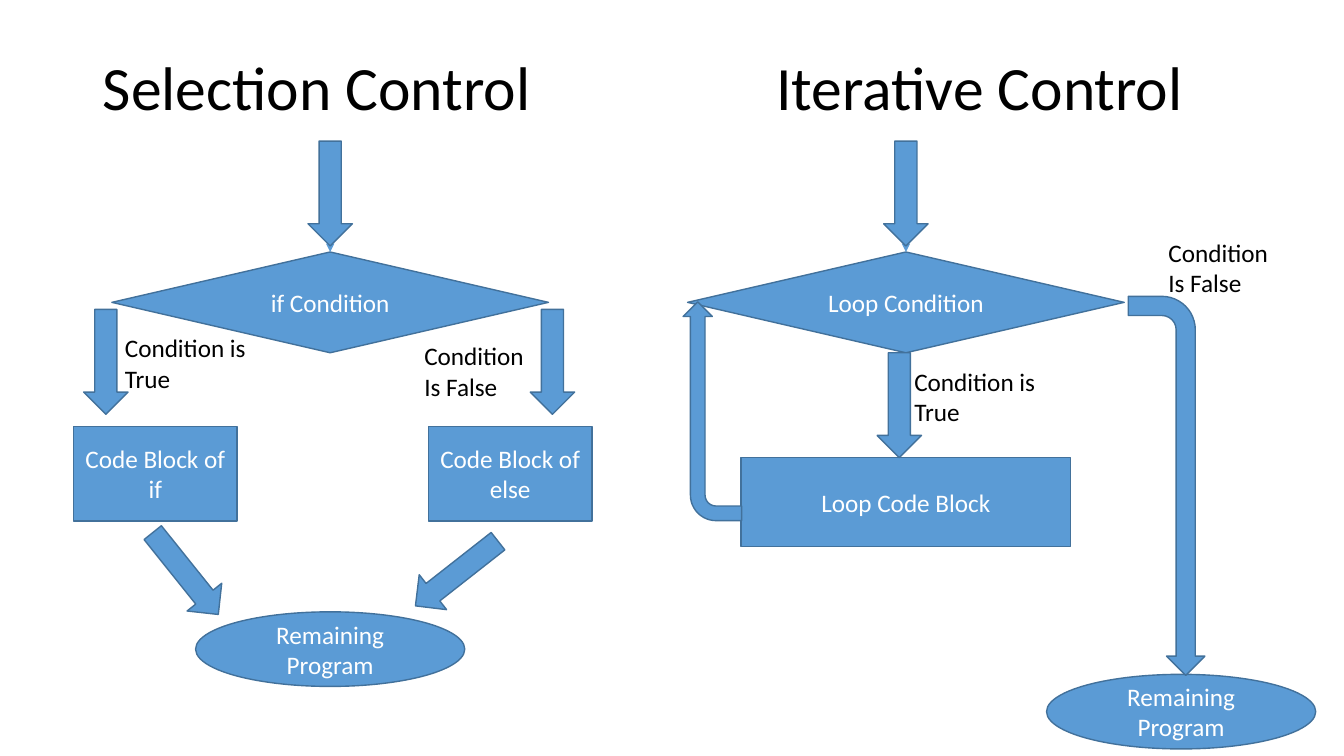
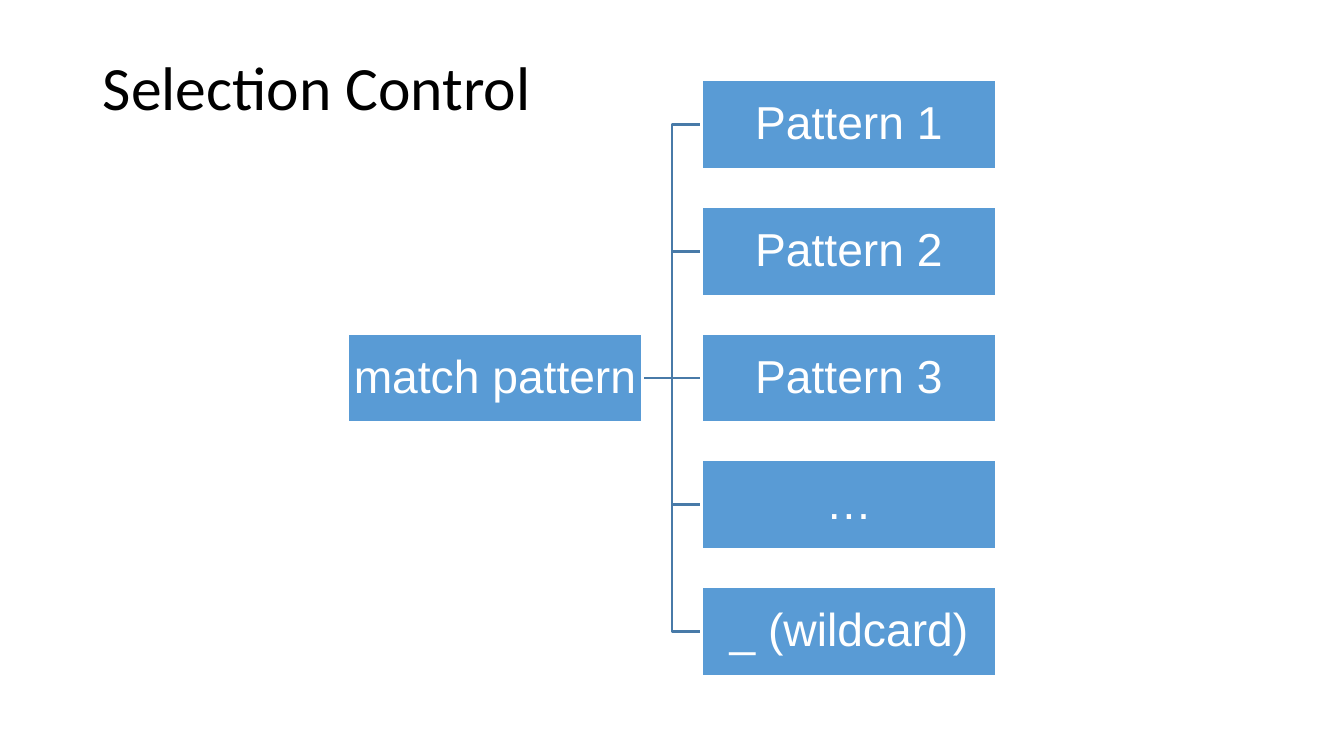
from lxml import etree
from pptx import Presentation
from pptx.dml.color import RGBColor
from pptx.enum.shapes import MSO_CONNECTOR as CONNECTOR, MSO_SHAPE as SHAPE
from pptx.enum.text import MSO_ANCHOR as ANCHOR, MSO_AUTO_SIZE as AUTO_SIZE, PP_ALIGN as ALIGN
from pptx.oxml.ns import qn
from pptx.util import Inches, Pt

BLUE = "5B9BD5"
OUTLINE = "42719B"
TREE_BLUE = "599BD5"
TREE_LINE = "487AA8"
WHITE = "FFFFFF"
BLACK = "000000"

DIAMOND_SIZE = (4.33, 1)
BLOCK_SIZE = (1.62, 0.94)
END_SIZE = (2.67, 0.74)
ARROW_SIZE = (0.44, 1.04)
TREE_SIZE = (2.92, 0.89)


def color(hex_string):
    return RGBColor.from_string(hex_string)


def style_paragraph(paragraph, size, hex_string, name="Calibri", align=ALIGN.LEFT, spacing=None):
    paragraph.alignment = align
    if spacing:
        paragraph.line_spacing = spacing
    font = paragraph.font
    font.size = Pt(size)
    font.name = name
    font.color.rgb = color(hex_string)


def add_tab_stop(paragraph, position):
    properties = paragraph._p.get_or_add_pPr()
    tabs = etree.SubElement(properties, qn("a:tabLst"))
    etree.SubElement(tabs, qn("a:tab"), pos=str(Inches(position)), algn="l")


def add_titled_slide(presentation, text, tab_stop=None):
    slide = presentation.slides.add_slide(presentation.slide_layouts[5])
    title = slide.shapes.title
    title.left, title.top = Inches(0.92), Inches(0.4)
    title.width, title.height = Inches(11.5), Inches(0.99)
    frame = title.text_frame
    frame.text = text
    frame.word_wrap = True
    frame.auto_size = AUTO_SIZE.NONE
    frame.vertical_anchor = ANCHOR.MIDDLE
    paragraph = frame.paragraphs[0]
    if tab_stop:
        add_tab_stop(paragraph, tab_stop)
    style_paragraph(paragraph, 44, BLACK, spacing=0.9)
    return slide


def add_shape(slide, kind, left, top, size, fill=BLUE, line=OUTLINE, line_width=1, rotation=0):
    width, height = size
    shape = slide.shapes.add_shape(kind, Inches(left), Inches(top), Inches(width), Inches(height))
    shape.shadow.inherit = False
    shape.fill.solid()
    shape.fill.fore_color.rgb = color(fill)
    shape.line.color.rgb = color(line)
    shape.line.width = Pt(line_width)
    shape.rotation = rotation
    return shape


def add_node(slide, kind, left, top, size, text):
    shape = add_shape(slide, kind, left, top, size)
    frame = shape.text_frame
    frame.text = text
    frame.word_wrap = True
    frame.vertical_anchor = ANCHOR.MIDDLE
    style_paragraph(frame.paragraphs[0], 18, WHITE, align=ALIGN.CENTER)
    return shape


def add_tree_box(slide, left, top, text):
    shape = add_shape(slide, SHAPE.RECTANGLE, left, top, TREE_SIZE, TREE_BLUE, WHITE, 2)
    frame = shape.text_frame
    frame.text = text
    frame.word_wrap = True
    frame.vertical_anchor = ANCHOR.MIDDLE
    frame.margin_left = frame.margin_right = Inches(0.02)
    frame.margin_top = frame.margin_bottom = Inches(0.02)
    style_paragraph(frame.paragraphs[0], 33, WHITE, "Arial", ALIGN.CENTER, 0.9)
    return shape


def add_label(slide, left, top, width, text):
    box = slide.shapes.add_textbox(Inches(left), Inches(top), Inches(width), Inches(0.71))
    frame = box.text_frame
    frame.text = text
    frame.word_wrap = True
    frame.auto_size = AUTO_SIZE.SHAPE_TO_FIT_TEXT
    for paragraph in frame.paragraphs:
        style_paragraph(paragraph, 18, BLACK)


def add_line(slide, kind, start, end, hex_string, width):
    points = [Inches(value) for value in (*start, *end)]
    connector = slide.shapes.add_connector(kind, *points)
    connector.line.color.rgb = color(hex_string)
    connector.line.width = Pt(width)
    etree.SubElement(connector.element.spPr, qn("a:effectLst"))
    return connector


def add_condition(slide, left, text):
    diamond = add_node(slide, SHAPE.DIAMOND, left, 2.5, DIAMOND_SIZE, text)
    center = left + DIAMOND_SIZE[0] / 2
    entry = add_line(slide, CONNECTOR.STRAIGHT, (center, 1.85), (center, 2.5), BLUE, 0.75)
    entry.end_connect(diamond, 0)
    etree.SubElement(entry.line._get_or_add_ln(), qn("a:tailEnd"), type="triangle")
    add_shape(slide, SHAPE.DOWN_ARROW, center - ARROW_SIZE[0] / 2, 1.4, ARROW_SIZE)


def build_flowcharts(presentation):
    slide = add_titled_slide(presentation, "Selection Control\tIterative Control", 6.68)

    add_condition(slide, 6.82, "Loop Condition")
    add_node(slide, SHAPE.RECTANGLE, 7.35, 4.54, (3.27, 0.88), "Loop Code Block")
    add_condition(slide, 1.11, "if Condition")
    for left, text in ((0.73, "Code Block of if"), (4.25, "Code Block of else")):
        add_node(slide, SHAPE.RECTANGLE, left, 4.23, BLOCK_SIZE, text)
    for left, top in ((10.38, 6.69), (1.94, 6.07)):
        add_node(slide, SHAPE.OVAL, left, top, END_SIZE, "Remaining Program")

    add_shape(slide, SHAPE.BENT_ARROW, 5.98, 3.79, (2.17, 0.58), rotation=270)
    add_shape(slide, SHAPE.BENT_ARROW, 9.69, 4.44, (3.76, 0.76), rotation=90)
    for left, top, rotation in (
        (8.7, 3.5, 0),
        (5.26, 3.07, 0),
        (0.83, 3.07, 0),
        (1.62, 5.17, 321.3),
        (4.31, 5.17, 51.9),
    ):
        add_shape(slide, SHAPE.DOWN_ARROW, left, top, ARROW_SIZE, rotation=rotation)

    for left, top in ((8.97, 3.58), (1.14, 3.25)):
        add_label(slide, left, top, 1.47, "Condition is\nTrue")
    for left, top in ((11.49, 2.3), (4.11, 3.33)):
        add_label(slide, left, top, 1.26, "Condition\nIs False")


def build_pattern_tree(presentation):
    slide = add_titled_slide(presentation, "Selection Control")
    patterns = ("Pattern 1", "Pattern 2", "Pattern 3", "…", "_ (wildcard)")
    root_left, branch_left = 3.45, 6.96
    first_top, last_top = 0.79, 5.82
    pitch = (last_top - first_top) / (len(patterns) - 1)
    middle = len(patterns) // 2
    root_top = first_top + middle * pitch
    width, height = TREE_SIZE
    root = add_tree_box(slide, root_left, root_top, "match pattern")
    start = (root_left + width, root_top + height / 2)

    for index, text in enumerate(patterns):
        top = first_top + index * pitch
        branch = add_tree_box(slide, branch_left, top, text)
        kind = CONNECTOR.STRAIGHT if index == middle else CONNECTOR.ELBOW
        link = add_line(slide, kind, start, (branch_left, top + height / 2), TREE_LINE, 2)
        link.begin_connect(root, 3)
        link.end_connect(branch, 1)
        link.element.getparent().insert(2, link.element)


def main():
    presentation = Presentation()
    presentation.slide_width = Inches(13.33)
    presentation.slide_height = Inches(7.5)
    build_flowcharts(presentation)
    build_pattern_tree(presentation)
    presentation.save("out.pptx")


if __name__ == "__main__":
    main()
